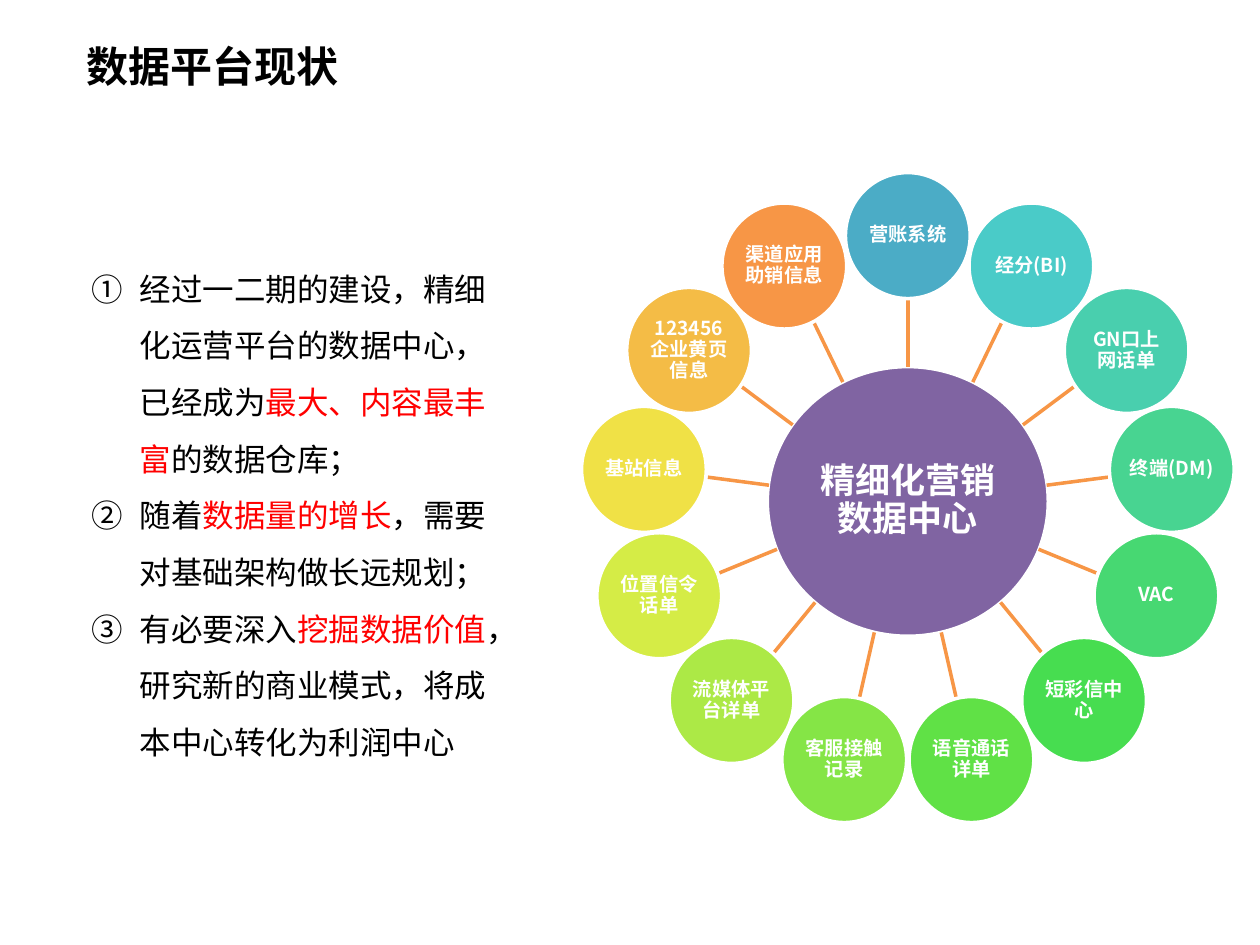
from math import cos, pi, sin

from lxml import etree
from pptx import Presentation
from pptx.dml.color import RGBColor
from pptx.enum.shapes import MSO_CONNECTOR, MSO_SHAPE
from pptx.enum.text import MSO_ANCHOR, MSO_AUTO_SIZE, PP_ALIGN
from pptx.oxml.ns import qn
from pptx.util import Inches, Pt

STRAIGHT = MSO_CONNECTOR.STRAIGHT
OVAL = MSO_SHAPE.OVAL
MIDDLE = MSO_ANCHOR.MIDDLE
GROW = MSO_AUTO_SIZE.SHAPE_TO_FIT_TEXT
CENTER = PP_ALIGN.CENTER

BLACK, WHITE, RED = "000000", "FFFFFF", "FF0000"
CJK = "Noto Sans CJK SC"

HUB_X, HUB_Y = 7.205, 3.98
RING = 2.11
SPOKE_START_X, SPOKE_START_Y, SPOKE_END = 1.11, 1.07, 1.6

SOURCES = [
    ("营账系统", "4BACC6"),
    ("经分(BI)", "4ACBC8"),
    ("GN口上网话单", "49CFAE"),
    ("终端(DM)", "48D491"),
    ("VAC", "47D872"),
    ("短彩信中心", "47DD50"),
    ("语音通话详单", "60E146"),
    ("客服接触记录", "85E546"),
    ("流媒体平台详单", "ACE946"),
    ("位置信令话单", "D5EC46"),
    ("基站信息", "F0E146"),
    ("123456企业黄页信息", "F4BC46"),
    ("渠道应用助销信息", "F79646"),
]

POINTS = [
    [("经过一二期的建设，精细化运营平台的数据中心，已经成为", BLACK),
     ("最大、内容最丰富", RED), ("的数据仓库；", BLACK)],
    [("随着", BLACK), ("数据量的增长", RED),
     ("，需要对基础架构做长远规划；", BLACK)],
    [("有必要深入", BLACK), ("挖掘数据价值", RED),
     ("，研究新的商业模式，将成本中心转化为利润中心", BLACK)],
]


def rgb(value):
    return RGBColor.from_string(value)


class Deck:
    spoke_color = "F79646"
    line_width = Pt(2)

    def __init__(self, slide):
        self.s = slide

    def run(self, p, text, size, color, bold=False, font=CJK):
        r = p.add_run()
        r.text = text
        r.font.size = Pt(size)
        r.font.bold = bold
        r.font.color.rgb = rgb(color)
        r.font.name = font
        etree.SubElement(r.font._element, qn("a:ea")).set("typeface", CJK)

    def box(self, x, y, w, h):
        tf = self.s.shapes.add_textbox(
            Inches(x), Inches(y), Inches(w), Inches(h)).text_frame
        tf.word_wrap = True
        return tf

    def title(self, text, x, y, w, h):
        tf = self.box(x, y, w, h)
        tf.vertical_anchor = MIDDLE
        self.run(tf.paragraphs[0], text, 24, BLACK, True, "Arial")

    def numbered(self, items, x, y, w, h):
        tf = self.box(x, y, w, h)
        tf.auto_size = GROW
        for i, runs in enumerate(items):
            p = tf.add_paragraph() if i else tf.paragraphs[0]
            p.line_spacing = 1.5
            pPr = p._p.get_or_add_pPr()
            pPr.set("marL", str(Inches(0.38)))
            pPr.set("indent", str(Inches(-0.38)))
            bullet = etree.SubElement(pPr, qn("a:buAutoNum"))
            bullet.set("type", "circleNumDbPlain")
            for text, color in runs:
                self.run(p, text, 18, color)

    def circle(self, text, cx, cy, w, h, fill, size):
        sp = self.s.shapes.add_shape(
            OVAL, Inches(cx - w / 2), Inches(cy - h / 2), Inches(w), Inches(h))
        sp.shadow.inherit = False
        sp.fill.solid()
        sp.fill.fore_color.rgb = rgb(fill)
        sp.line.color.rgb = rgb(WHITE)
        sp.line.width = self.line_width
        tf = sp.text_frame
        tf.word_wrap = True
        tf.vertical_anchor = MIDDLE
        tf.margin_left = tf.margin_right = Inches(0.01)
        tf.margin_top = tf.margin_bottom = Inches(0.01)
        p = tf.paragraphs[0]
        p.alignment = CENTER
        p.line_spacing = 0.9
        self.run(p, text, size, WHITE, True)

    def spoke(self, x1, y1, x2, y2):
        c = self.s.shapes.add_connector(
            STRAIGHT, Inches(x1), Inches(y1), Inches(x2), Inches(y2))
        c.line.color.rgb = rgb(self.spoke_color)
        c.line.width = self.line_width
        etree.SubElement(c._element.spPr, qn("a:effectLst"))


def main():
    prs = Presentation()
    prs.slide_width, prs.slide_height = Inches(10), Inches(7.5)
    deck = Deck(prs.slides.add_slide(prs.slide_layouts[6]))
    deck.title("数据平台现状", 0.59, 0.16, 7.17, 0.73)
    deck.circle("精细化营销数据中心", HUB_X, HUB_Y, 2.23, 2.14, "8064A2", 20)
    for i, (name, fill) in enumerate(SOURCES):
        angle = 2 * pi * i / len(SOURCES)
        dx, dy = sin(angle), -cos(angle)
        deck.spoke(HUB_X + SPOKE_START_X * dx, HUB_Y + SPOKE_START_Y * dy,
                   HUB_X + SPOKE_END * dx, HUB_Y + SPOKE_END * dy)
        deck.circle(name, HUB_X + RING * dx, HUB_Y + RING * dy,
                    0.99, 1, fill, 11)
    deck.numbered(POINTS, 0.63, 1.94, 3.46, 4.19)
    prs.save("out.pptx")


if __name__ == "__main__":
    main()
